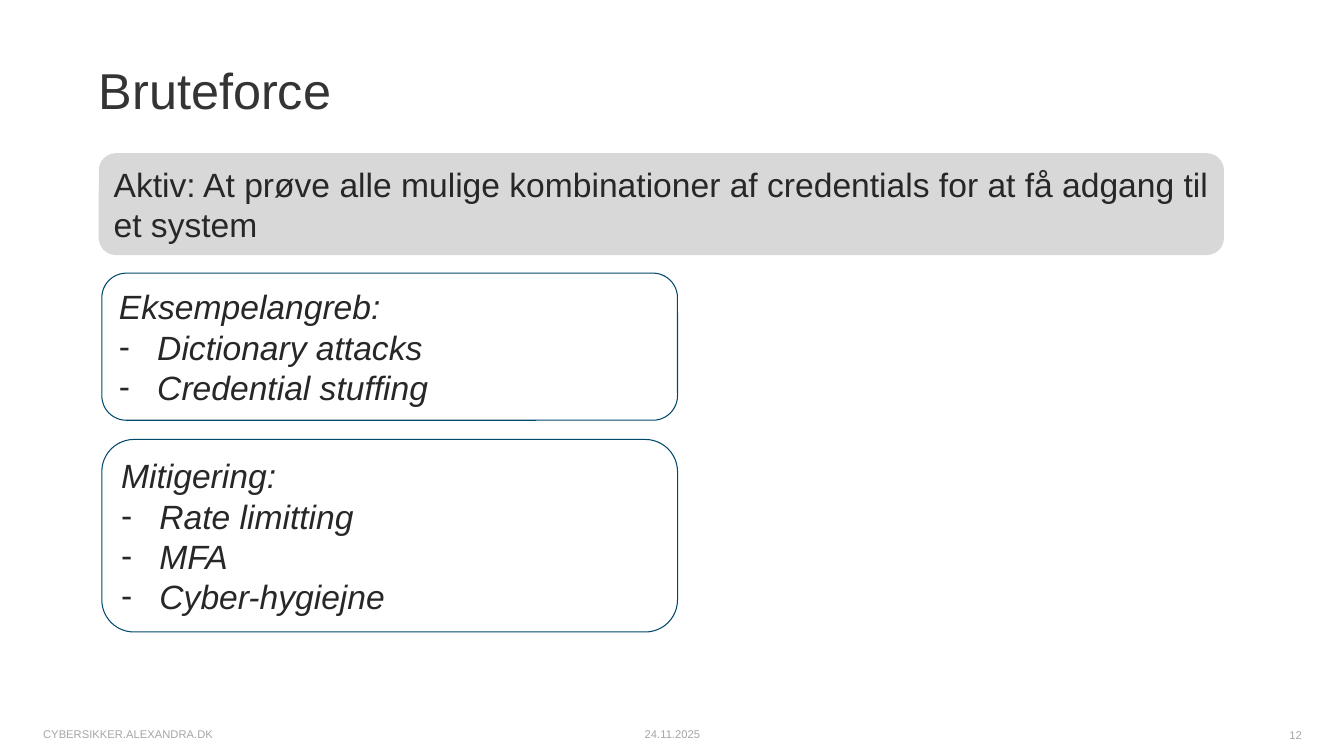
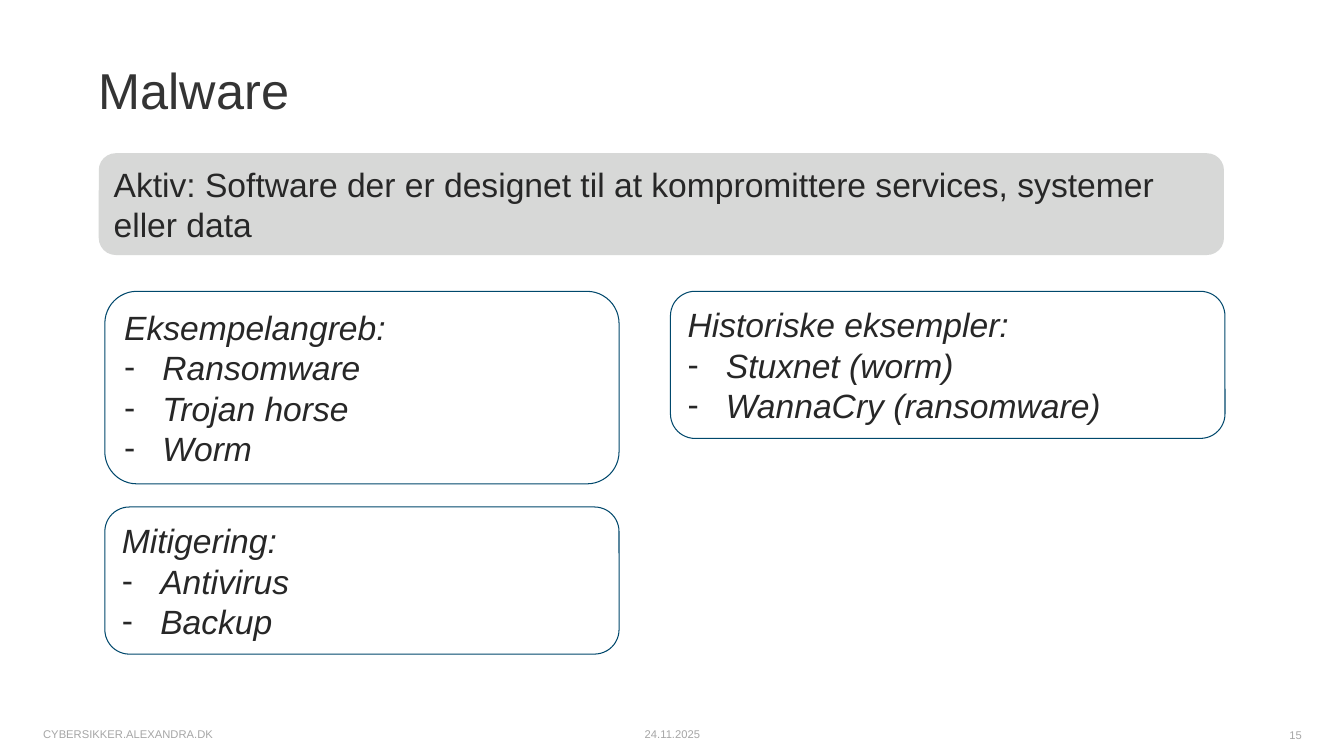
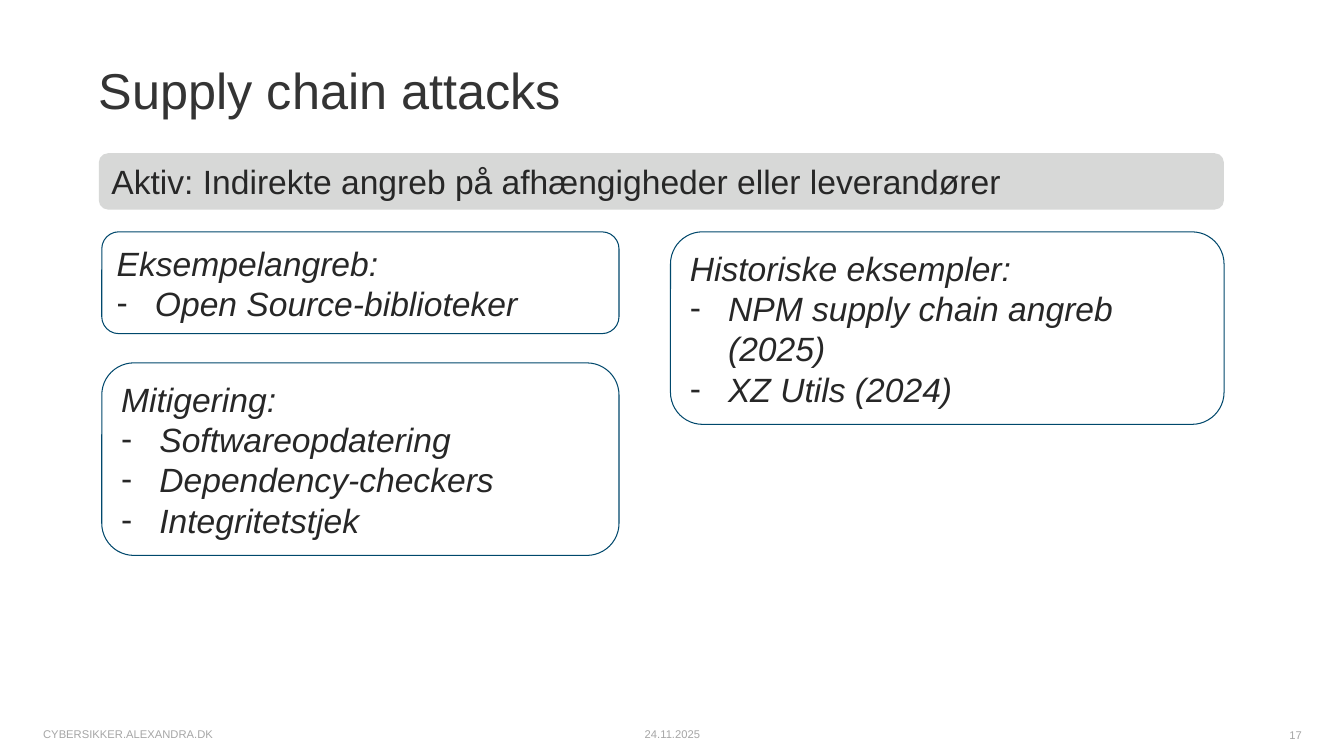
from pptx import Presentation
from pptx.dml.color import RGBColor
from pptx.enum.shapes import MSO_SHAPE
from pptx.enum.text import MSO_ANCHOR, MSO_AUTO_SIZE, PP_ALIGN
from pptx.util import Inches, Pt
from lxml.etree import SubElement
from pptx.oxml.ns import qn

# Shared style
FONT = "Arial"
TITLE = RGBColor(0x34, 0x34, 0x34)
BODY = RGBColor(0x27, 0x27, 0x27)
FOOTER = RGBColor(0xA6, 0xA6, 0xA6)
BAND = RGBColor(0xD7, 0xD8, 0xD7)
BORDER = RGBColor(0x00, 0x48, 0x6C)
INDENT = Inches(0.38)
LINE_H, PAD_H = 0.45, 0.11  # box height = lines * LINE_H + PAD_H


def add_text(p, text, size, color, italic=False, align=PP_ALIGN.LEFT):
    p.alignment = align
    r = p.add_run()
    r.text = text
    r.font.name = FONT
    r.font.size = Pt(size)
    r.font.italic = italic
    r.font.color.rgb = color


def add_box(s, x, y, w, lines):
    sp = s.shapes.add_shape(MSO_SHAPE.ROUNDED_RECTANGLE, Inches(x), Inches(y),
                            Inches(w), Inches(lines * LINE_H + PAD_H))
    sp.shadow.inherit = False
    tf = sp.text_frame
    tf.word_wrap = True
    tf.auto_size = MSO_AUTO_SIZE.SHAPE_TO_FIT_TEXT
    tf.vertical_anchor = MSO_ANCHOR.MIDDLE
    return sp


# Content: title, page, (band text, band lines), boxes as
# (left, top, width, lines, heading, items)
slides = [
    ("Bruteforce", "12",
     ("Aktiv: At prøve alle mulige kombinationer af credentials for at få adgang til et system", 2),
     [(1.01, 2.71, 5.71, 3, "Eksempelangreb:", ["Dictionary attacks", "Credential stuffing"]),
      (1.01, 4.36, 5.71, 4, "Mitigering:", ["Rate limitting", "MFA", "Cyber-hygiejne"])]),
    ("Malware", "15",
     ("Aktiv: Software der er designet til at kompromittere services, systemer eller data", 2),
     [(1.04, 2.89, 5.1, 4, "Eksempelangreb:", ["Ransomware", "Trojan horse", "Worm"]),
      (6.65, 2.89, 5.5, 3, "Historiske eksempler:", ["Stuxnet (worm)", "WannaCry (ransomware)"]),
      (1.04, 5.03, 5.1, 3, "Mitigering:", ["Antivirus", "Backup"])]),
    ("Supply chain attacks", "17",
     ("Aktiv: Indirekte angreb på afhængigheder eller leverandører", 1),
     [(1.01, 2.3, 5.13, 2, "Eksempelangreb:", ["Open Source-biblioteker"]),
      (6.65, 2.3, 5.49, 4, "Historiske eksempler:",
       ["NPM supply chain angreb (2025)", "XZ Utils (2024)"]),
      (1.01, 3.6, 5.13, 4, "Mitigering:",
       ["Softwareopdatering", "Dependency-checkers", "Integritetstjek"])]),
]

prs = Presentation()
prs.slide_width, prs.slide_height = Inches(13.33), Inches(7.5)

for title, page, (band_text, band_lines), boxes in slides:
    s = prs.slides.add_slide(prs.slide_layouts[6])

    # Title
    tf = s.shapes.add_textbox(Inches(0.98), Inches(0.59), Inches(11.42), Inches(0.61)).text_frame
    tf.word_wrap = True
    tf.margin_left = tf.margin_right = tf.margin_top = tf.margin_bottom = 0
    add_text(tf.paragraphs[0], title, 36, TITLE)

    # Footer
    for x, y, w, h, text, align in [
        (5.09, 7.17, 3.16, 0.2, "24.11.2025", PP_ALIGN.CENTER),
        (0.33, 7.17, 3.43, 0.2, "CYBERSIKKER.ALEXANDRA.DK", PP_ALIGN.LEFT),
        (10.88, 7.18, 2.13, 0.24, page, PP_ALIGN.RIGHT),
    ]:
        tf = s.shapes.add_textbox(Inches(x), Inches(y), Inches(w), Inches(h)).text_frame
        tf.word_wrap = True
        add_text(tf.paragraphs[0], text, 8, FOOTER, align=align)

    # Definition band
    sp = add_box(s, 0.98, 1.52, 11.16, band_lines)
    sp.fill.solid()
    sp.fill.fore_color.rgb = BAND
    sp.line.fill.background()
    add_text(sp.text_frame.paragraphs[0], band_text, 24, BODY)

    # Outlined boxes with dashed lists
    for x, y, w, lines, heading, items in boxes:
        sp = add_box(s, x, y, w, lines)
        sp.fill.background()
        sp.line.color.rgb = BORDER
        sp.line.width = Pt(0.75)
        tf = sp.text_frame
        add_text(tf.paragraphs[0], heading, 24, BODY, italic=True)
        for item in items:
            p = tf.add_paragraph()
            pPr = p._p.get_or_add_pPr()
            pPr.set("marL", str(INDENT))
            pPr.set("indent", str(-INDENT))
            SubElement(pPr, qn("a:buFont"), typeface=FONT)
            SubElement(pPr, qn("a:buChar"), char="-")
            add_text(p, item, 24, BODY, italic=True)

prs.save("out.pptx")
